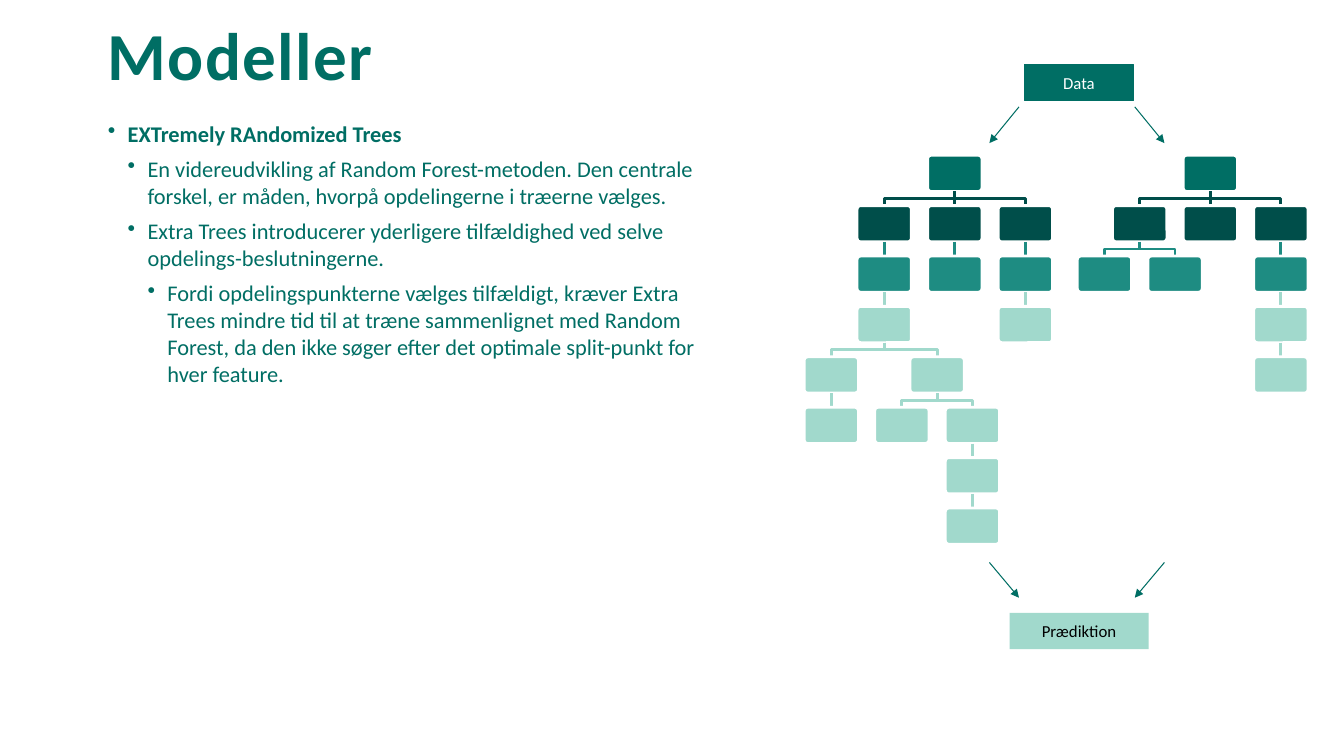
from lxml import etree
from pptx import Presentation
from pptx.dml.color import RGBColor
from pptx.enum.shapes import MSO_CONNECTOR, MSO_SHAPE
from pptx.enum.text import MSO_ANCHOR, PP_ALIGN
from pptx.oxml.ns import qn
from pptx.util import Inches, Pt

STRAIGHT = MSO_CONNECTOR.STRAIGHT
ROUNDED = MSO_SHAPE.ROUNDED_RECTANGLE
MIDDLE, CENTER = MSO_ANCHOR.MIDDLE, PP_ALIGN.CENTER
TOP_SIDE, BOTTOM_SIDE = 0, 2

GREEN, DARK, TEAL, MINT = "006E64", "004E4A", "1E8C82", "A1D9CC"
WHITE, BLACK = "FFFFFF", "000000"
LEVEL_COLOURS = [GREEN, DARK, TEAL, MINT]


def rgb(value):
    return RGBColor.from_string(value)


def chain(offset, length):
    """A branch of single children; offset is in columns from its parent."""
    return offset, [chain(0, length - 1)] if length > 1 else []


class Slide:
    """Style and current slide; positions are columns and rows of a grid."""
    font = "Calibri"
    left, column = 1.07, 0.7
    top, row = 0.04, 0.5
    node_w, node_h = 0.77, 0.72

    def __init__(self, prs):
        self.shapes = prs.slides.add_slide(prs.slide_layouts[6]).shapes

    def x(self, col):
        return Inches(self.left + self.column * col)

    def y(self, row):
        return Inches(self.top + self.row * row)

    def frame(self, col, row, cols, rows):
        return (self.x(col), self.y(row),
                Inches(self.column * cols), Inches(self.row * rows))

    def run(self, p, text, size, colour, bold=False):
        r = p.add_run()
        r.text = text
        r.font.name, r.font.size, r.font.bold = self.font, Pt(size), bold
        r.font.color.rgb = rgb(colour)
        return r

    def text_box(self, *frame):
        tf = self.shapes.add_textbox(*self.frame(*frame)).text_frame
        tf.word_wrap = True
        tf.margin_left = tf.margin_right = tf.margin_top = tf.margin_bottom = 0
        return tf

    def title(self, text, *frame):
        p = self.text_box(*frame).paragraphs[0]
        p.line_spacing = 0.85
        r = self.run(p, text, 48, GREEN, True)
        r.font._element.set("spc", "100")

    def bullets(self, items, *frame):
        tf = self.text_box(*frame)
        for i, (level, text) in enumerate(items):
            p = tf.add_paragraph() if i else tf.paragraphs[0]
            p.level = level
            p.space_before = Pt(6 if i else 0)
            pPr = p._p.get_or_add_pPr()
            pPr.set("marL", str(Inches(0.197 * (level + 1))))
            pPr.set("indent", str(-Inches(0.197)))
            etree.SubElement(pPr, qn("a:buChar")).set("char", "•")
            self.run(p, text, 16, GREEN, bold=level == 0)

    def box(self, center, row, cols, fill, outline=None, width=0.75, corner=0.0):
        sp = self.shapes.add_shape(
            ROUNDED, *self.frame(center - cols / 2, row, cols, self.node_h))
        sp.shadow.inherit = False
        sp.adjustments[0] = corner
        sp.fill.solid()
        sp.fill.fore_color.rgb = rgb(fill)
        if outline:
            sp.line.color.rgb = rgb(outline)
            sp.line.width = Pt(width)
        else:
            sp.line.fill.background()
        return sp

    def label_box(self, text, colour, *args):
        tf = self.box(*args).text_frame
        tf.margin_left = tf.margin_right = Inches(0.08)
        tf.margin_top = tf.margin_bottom = Inches(0.08)
        tf.vertical_anchor = MIDDLE
        p = tf.paragraphs[0]
        p.alignment = CENTER
        self.run(p, text, 12, colour)

    def line(self, start, end, colour, width):
        (x1, y1), (x2, y2) = start, end
        cn = self.shapes.add_connector(
            STRAIGHT, self.x(x1), self.y(y1), self.x(x2), self.y(y2))
        cn.line.color.rgb = rgb(colour)
        cn.line.width = Pt(width)
        etree.SubElement(cn._element.spPr, qn("a:effectLst"))
        return cn

    def arrow(self, start, end):
        cn = self.line(start, end, GREEN, 0.75)
        etree.SubElement(cn.line._get_or_add_ln(), qn("a:tailEnd")).set("type", "triangle")

    def elbow(self, start, end, colour):
        (x1, y1), (x2, y2) = start, end
        middle = (y1 + y2) / 2
        builder = self.shapes.build_freeform(self.x(x1), self.y(y1))
        builder.add_line_segments(
            [(self.x(x), self.y(y)) for x, y in ((x1, middle), (x2, middle), end)],
            close=False)
        sp = builder.convert_to_shape()
        sp.shadow.inherit = False
        sp.fill.background()
        sp.line.color.rgb = rgb(colour)
        sp.line.width = Pt(2)

    def tree(self, branches, col, row, level=0):
        """Draw a node and, below it, each of its branches."""
        def colour(depth):
            return LEVEL_COLOURS[min(depth, len(LEVEL_COLOURS) - 1)]

        node = self.box(col, row, self.node_w, colour(level), WHITE, 2, 0.1)
        start = col, row + self.node_h
        for offset, children in branches:
            end = col + offset, row + 1
            if offset:
                self.elbow(start, end, colour(level + 1))
                self.tree(children, *end, level + 1)
            else:
                cn = self.line(start, end, colour(level + 1), 2)
                cn.begin_connect(node, BOTTOM_SIDE)
                cn.end_connect(self.tree(children, *end, level + 1), TOP_SIDE)
        return node


def main():
    prs = Presentation()
    prs.slide_width, prs.slide_height = Inches(13.33), Inches(7.5)
    s = Slide(prs)

    # Heading and explanation
    s.title("Modeller", 0, 0.42, 16.99, 1.38)
    s.bullets([
        (0, "EXTremely RAndomized Trees"),
        (1, "En videreudvikling af Random Forest-metoden. Den centrale forskel, "
            "er måden, hvorpå opdelingerne i træerne vælges."),
        (1, "Extra Trees introducerer yderligere tilfældighed ved selve "
            "opdelings-beslutningerne."),
        (2, "Fordi opdelingspunkterne vælges tilfældigt, kræver Extra Trees mindre "
            "tid til at træne sammenlignet med Random Forest, da den ikke søger "
            "efter det optimale split-punkt for hver feature."),
    ], 0, 2.3, 8.64, 11.1)

    # Decision trees
    right_tree = [(-1, [chain(-0.5, 1), chain(0.5, 1)]), chain(0, 1), chain(1, 4)]
    deep_split = [chain(-0.75, 2), (0.75, [chain(-0.5, 1), chain(0.5, 3)])]
    left_tree = [(-1, [(0, [(0, deep_split)])]), chain(0, 2), chain(1, 3)]
    s.tree(right_tree, 15.62, 3)
    s.tree(left_tree, 12, 3)

    # Data in, prediction out
    s.label_box("Data", WHITE, 13.76, 1.2, 1.54, GREEN, GREEN)
    middle, near, far = 13.73, 0.82, 1.24
    for side in (-1, 1):
        inner, outer = middle + side * near, middle + side * far
        s.arrow((inner, 2.04), (outer, 2.76))
        s.arrow((outer, 11.08), (inner, 11.78))
    s.label_box("Prædiktion", BLACK, 13.76, 12.08, 1.97, MINT)

    prs.save("out.pptx")


if __name__ == "__main__":
    main()
